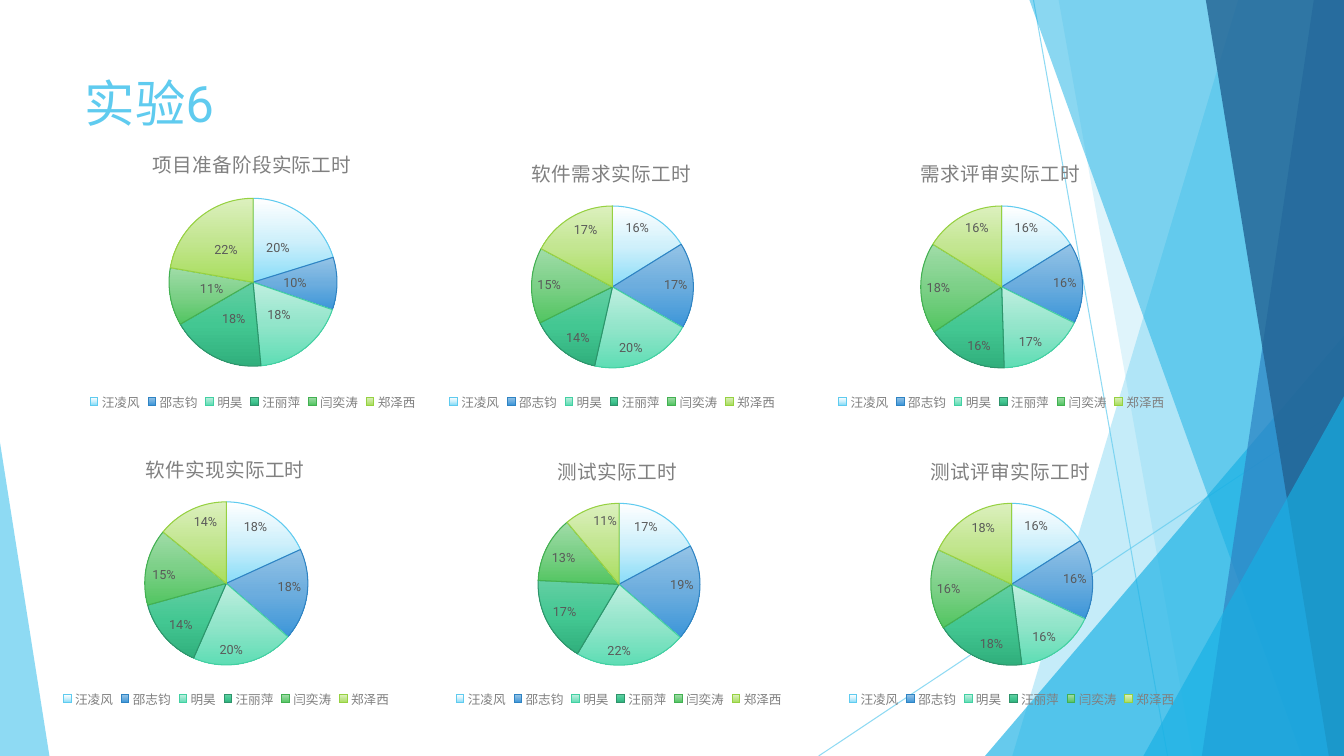
import pptx
import pptx.chart.data
import pptx.dml.color
import pptx.enum.chart
import pptx.enum.shapes
import pptx.enum.text
import pptx.oxml
import pptx.oxml.ns
import pptx.util
from lxml import etree

Inches = pptx.util.Inches
Pt = pptx.util.Pt
qn = pptx.oxml.ns.qn

FONT = "Roboto"
COLORS = {"sky": "5FCBEF", "cyan": "17B0E4", "blue": "2E83C3", "navy": "226292",
          "gray": "808080", "label": "595959"}

TITLE = "实验6"
MEMBERS = ["汪凌风", "邵志钧", "明昊", "汪丽萍", "闫奕涛", "郑泽西"]

# One entry per member: outline, then gradient from top to bottom
SLICE_STYLES = [
    ("5FCBEF", ("FFFFFF", "CFF0FB", "88DCF8")),
    ("2E83C3", ("94C3E6", "6CADDE", "3C96D9")),
    ("42D0A2", ("BFEFE0", "92E5CA", "5EDDB4")),
    ("2E946B", ("62CFA3", "43C792", "30AF7C")),
    ("42B051", ("A0DCA8", "7CD087", "52C561")),
    ("96D141", ("DCF0BE", "C3E691", "A9DE5D")),
]

# Title, hours, (left, top, width, height), label position
PIES = [
    ("项目准备阶段实际工时", (20, 10, 18, 18, 11, 22), (0.13, 1.31, 4.76, 2.8), "CENTER"),
    ("软件需求实际工时", (16, 17, 20, 14, 15, 17), (3.91, 1.41, 4.33, 2.7), "INSIDE_END"),
    ("需求评审实际工时", (16, 16, 17, 16, 18, 16), (7.77, 1.41, 4.33, 2.7), "INSIDE_END"),
    ("软件实现实际工时", (18, 18, 20, 14, 15, 14), (-0.2, 4.34, 4.89, 2.72), "INSIDE_END"),
    ("测试实际工时", (17, 19, 22, 17, 13, 11), (4.28, 4.36, 3.72, 2.7), "INSIDE_END"),
    ("测试评审实际工时", (16, 16, 16, 18, 16, 18), (7.68, 4.36, 4.71, 2.7), "INSIDE_END"),
]
CHART_TITLE_SIZE = 14

RAYS = [((10.25, 0), (11.58, 7.5)), ((13.33, 4.03), (8.12, 7.5))]

# Bands reach the right edge: (top x, bottom x, color, opacity in percent)
# Triangles: (left, top, width, height, apex, color, opacity in percent)
FACETS = [
    (12.28, 10.04, "sky", 36),
    (10.5, 11.83, "sky", 20),
    (9.77, 3.33, 3.56, 4.17, 1, "cyan", 66),
    (10.21, 12.91, "cyan", 50),
    (13.03, 11.92, "blue", 70),
    (11.96, 13.18, "navy", 80),
    (11.34, 3.93, 1.99, 3.57, 1, "cyan", 66),
    (0, 4.39, 0.49, 3.11, 0, "sky", 70),
]
SLIDE_WIDTH, SLIDE_HEIGHT = 13.33, 7.5


def rgb(value):
    return pptx.dml.color.RGBColor.from_string(value)


def style_font(font, size, color):
    font.name = FONT
    font.size = Pt(size)
    font.bold = False
    font.color.rgb = rgb(color)


def set_opacity(shape, percent):
    for color in shape._element.spPr.iter(qn("a:srgbClr")):
        etree.SubElement(color, qn("a:alpha")).set("val", str(percent * 1000))


def add_ray(slide, start, end):
    line = slide.shapes.add_connector(
        pptx.enum.shapes.MSO_CONNECTOR.STRAIGHT, *map(Inches, start + end))
    line.line.color.rgb = rgb(COLORS["sky"])
    line.line.width = Pt(0.75)
    set_opacity(line, 70)
    etree.SubElement(line._element.spPr, qn("a:effectLst"))


def add_facet(slide, *geometry, color, opacity):
    if len(geometry) == 2:
        top_x, bottom_x = geometry
        builder = slide.shapes.build_freeform(Inches(top_x), Inches(0))
        corners = [(SLIDE_WIDTH, 0), (SLIDE_WIDTH, SLIDE_HEIGHT), (bottom_x, SLIDE_HEIGHT)]
        builder.add_line_segments([(Inches(x), Inches(y)) for x, y in corners], close=True)
        shape = builder.convert_to_shape()
    else:
        *box, apex = geometry
        shape = slide.shapes.add_shape(
            pptx.enum.shapes.MSO_SHAPE.ISOSCELES_TRIANGLE, *map(Inches, box))
        shape.adjustments[0] = apex
    shape.shadow.inherit = False
    shape.fill.solid()
    shape.fill.fore_color.rgb = rgb(COLORS[color])
    shape.line.fill.background()
    set_opacity(shape, opacity)


def place(element, **fractions):
    """Give a chart title or plot area a manual layout in fractions of the chart."""
    for old in element.findall(qn("c:layout")):
        element.remove(old)
    layout = etree.Element(qn("c:layout"))
    manual = etree.SubElement(layout, qn("c:manualLayout"))
    if "w" in fractions:
        etree.SubElement(manual, qn("c:layoutTarget")).set("val", "inner")
    for axis in "xy":
        etree.SubElement(manual, qn(f"c:{axis}Mode")).set("val", "edge")
    for key, value in fractions.items():
        etree.SubElement(manual, qn(f"c:{key}")).set("val", f"{value:.4f}")
    text = element.find(qn("c:tx"))
    element.insert(0 if text is None else 1, layout)


def style_slices(chart):
    points = chart.plots[0].series[0].points
    for index, (outline, _) in enumerate(SLICE_STYLES):
        slice_format = points[index].format
        slice_format.fill.gradient()
        slice_format.fill.gradient_angle = 270
        slice_format.line.color.rgb = rgb(outline)
        slice_format.line.width = Pt(0.75)
    for stops, (_, gradient) in zip(chart.element.iter(qn("a:gsLst")), SLICE_STYLES):
        for stop in list(stops):
            stops.remove(stop)
        for step, color in enumerate(gradient):
            stop = etree.SubElement(stops, qn("a:gs"), pos=str(step * 50000))
            etree.SubElement(stop, qn("a:srgbClr"), val=color)


def add_pie(slide, title, hours, box, label_position):
    data = pptx.chart.data.CategoryChartData()
    data.categories = MEMBERS
    no_hours = [0] * len(MEMBERS)
    for number, values in enumerate((hours, no_hours, no_hours), start=1):
        data.add_series(f"Series {number}", values)
    chart = slide.shapes.add_chart(
        pptx.enum.chart.XL_CHART_TYPE.PIE, *map(Inches, box), data).chart
    chart.font.name = FONT
    chart.font.size = Pt(10)

    chart.has_title = True
    run = chart.chart_title.text_frame.paragraphs[0].add_run()
    run.text = title
    style_font(run.font, CHART_TITLE_SIZE, COLORS["gray"])

    chart.has_legend = True
    chart.legend.position = pptx.enum.chart.XL_LEGEND_POSITION.BOTTOM
    chart.legend.include_in_layout = False
    style_font(chart.legend.font, 9, COLORS["gray"])

    plot = chart.plots[0]
    plot.vary_by_categories = True
    plot.has_data_labels = True
    labels = plot.data_labels
    labels.show_percentage = True
    labels.show_value = False
    labels.number_format = "0%"
    labels.number_format_is_linked = False
    labels.position = getattr(pptx.enum.chart.XL_LABEL_POSITION, label_position)
    style_font(labels.font, 9, COLORS["label"])
    style_slices(chart)
    # A new pie holds only its first series; this adds the others in the same style
    chart.replace_data(data)

    width, height = box[2:]
    title_width = len(title) * CHART_TITLE_SIZE / 72 / width
    title_inset = 0.06 / width
    place(chart.chart_title._element, x=(1 - title_width) / 2 - title_inset, y=0.04)
    diameter = 0.595
    pie_width = diameter * height / width
    place(chart.element.find(".//" + qn("c:plotArea")),
          x=(1 - pie_width) / 2, y=0.235, w=pie_width, h=diameter)


def add_title(slide):
    title = slide.shapes.title
    title.left, title.top, title.width, title.height = map(Inches, (0.74, 0.67, 9.4, 1.44))
    frame = title.text_frame
    frame.vertical_anchor = pptx.enum.text.MSO_ANCHOR.TOP
    paragraph = frame.paragraphs[0]
    paragraph.alignment = pptx.enum.text.PP_ALIGN.LEFT
    run = paragraph.add_run()
    run.text = TITLE
    style_font(run.font, 36, COLORS["sky"])


def main():
    presentation = pptx.Presentation()
    presentation.slide_width = Inches(SLIDE_WIDTH)
    presentation.slide_height = Inches(SLIDE_HEIGHT)
    slide = presentation.slides.add_slide(presentation.slide_layouts[5])
    add_title(slide)
    for start, end in RAYS:
        add_ray(slide, start, end)
    for *geometry, color, opacity in FACETS:
        add_facet(slide, *geometry, color=color, opacity=opacity)
    for pie in PIES:
        add_pie(slide, *pie)
    presentation.save("out.pptx")


if __name__ == "__main__":
    main()
